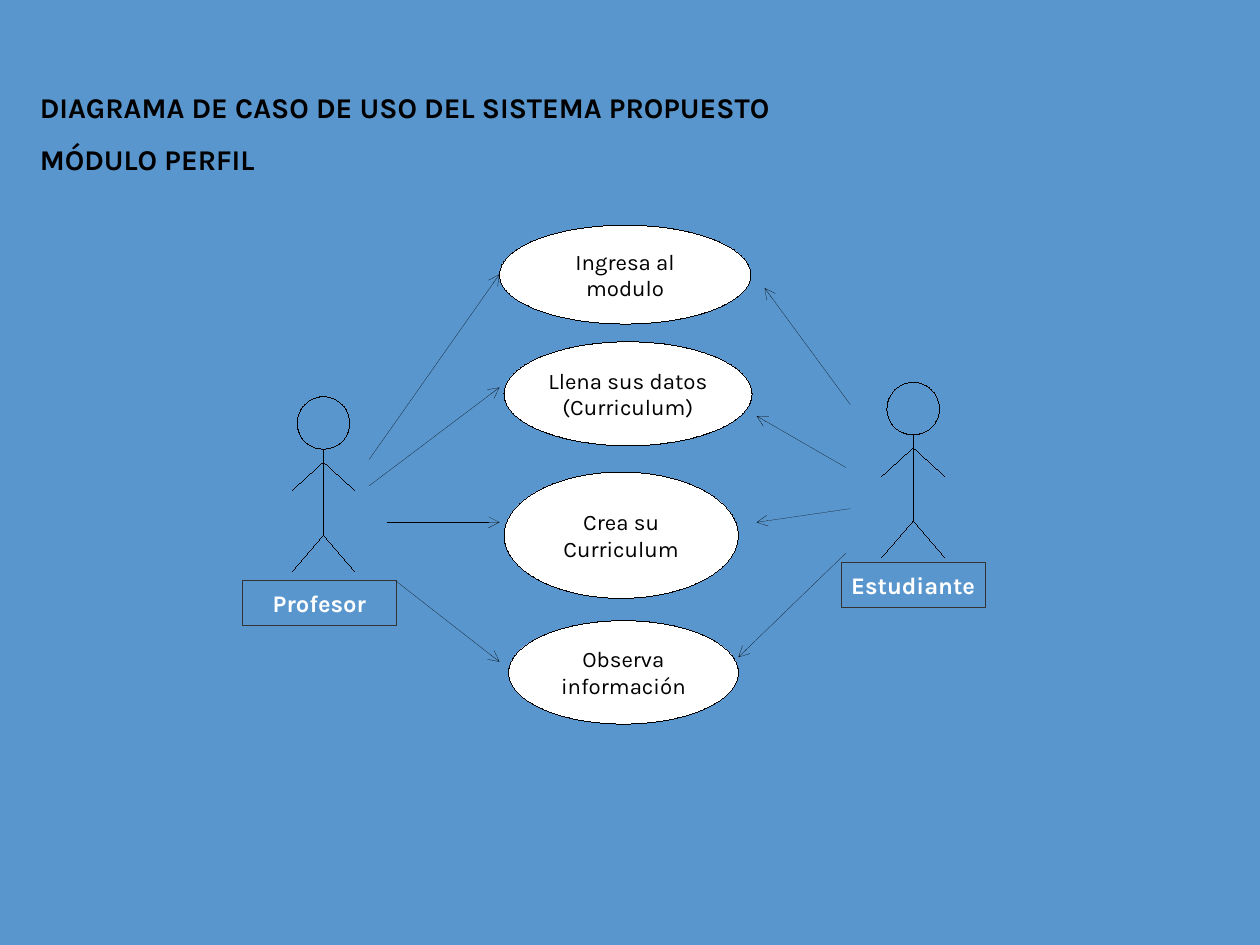
from dataclasses import dataclass

from lxml.etree import SubElement
from pptx import Presentation
from pptx.dml.color import RGBColor
from pptx.enum.shapes import MSO_CONNECTOR, MSO_SHAPE
from pptx.enum.text import MSO_ANCHOR, PP_ALIGN
from pptx.oxml.ns import qn
from pptx.util import Cm, Inches, Pt


@dataclass(frozen=True)
class Theme:
    font: str = "Karla"
    back: str = "5996CD"
    ink: str = "000000"
    paper: str = "FFFFFF"
    edge: str = "333333"
    title: int = 18
    label: int = 15
    body: int = 14
    hair: float = 0
    thin: float = 0.5


WIDE, HIGH = Cm(28), Cm(21)


def color(code):
    return RGBColor.from_string(code)


def unit(cells):
    """Length of a number of grid cells, each a tenth of an inch."""
    return Inches(cells / 10)


def plain(shape):
    """Drop the preset style, so that a zero width stays a hairline."""
    style = shape._element.find(qn("p:style"))
    shape._element.remove(style)


def write(frame, text, *, font, size, ink, bold=False, align=PP_ALIGN.CENTER,
          anchor=MSO_ANCHOR.MIDDLE, wrap=False, space=None):
    frame.word_wrap = wrap
    frame.vertical_anchor = anchor
    for i, line in enumerate(text.split("\n")):
        para = frame.paragraphs[0] if i == 0 else frame.add_paragraph()
        para.alignment = align
        para.line_spacing = space
        run = para.add_run()
        run.text = line
        run.font.name = font
        run.font.size = Pt(size)
        run.font.bold = bold
        run.font.color.rgb = color(ink)


class Board:
    """Draws on one slide; every length is in grid columns and rows."""

    def __init__(self, slide, theme):
        self.slide, self.theme = slide, theme

    def cover(self):
        """Fill the whole slide with the back colour."""
        rect = self.slide.shapes.add_shape(MSO_SHAPE.RECTANGLE, 0, 0, WIDE, HIGH)
        rect.shadow.inherit = False
        rect.fill.solid()
        rect.fill.fore_color.rgb = color(self.theme.back)
        rect.line.fill.background()

    def title(self, text, *box):
        frame = self.slide.shapes.add_textbox(*map(unit, box)).text_frame
        write(frame, text, font=self.theme.font, size=self.theme.title,
              ink=self.theme.ink, bold=True, align=PP_ALIGN.LEFT,
              anchor=MSO_ANCHOR.TOP, wrap=True, space=1.5)

    def shape(self, kind, box, edge, width, fill=None, host=None):
        host = host or self.slide
        shape = host.shapes.add_shape(kind, *map(unit, box))
        plain(shape)
        shape.shadow.inherit = False
        if fill:
            shape.fill.solid()
            shape.fill.fore_color.rgb = color(fill)
        else:
            shape.fill.background()
        shape.line.color.rgb = color(edge)
        shape.line.width = Pt(width)
        return shape

    def case(self, text, *box):
        look = self.theme
        oval = self.shape(MSO_SHAPE.OVAL, box, look.ink, look.hair, look.paper)
        write(oval.text_frame, text, font=look.font, size=look.body, ink=look.ink)

    def label(self, text, *box):
        look = self.theme
        rect = self.shape(MSO_SHAPE.RECTANGLE, box, look.edge, look.thin)
        write(rect.text_frame, text, font=look.font, size=look.label,
              ink=look.paper, bold=True)

    def line(self, *ends, host=None, arrow=False):
        host = host or self.slide
        link = host.shapes.add_connector(MSO_CONNECTOR.STRAIGHT, *map(unit, ends))
        plain(link)
        link.line.color.rgb = color(self.theme.ink)
        link.line.width = Pt(self.theme.hair)
        if arrow:
            SubElement(link.line._get_or_add_ln(), qn("a:tailEnd"), type="arrow")
        SubElement(link._element.spPr, qn("a:effectLst"))

    def actor(self, mid, top):
        """Stick figure with its head centred on column mid."""
        group = self.slide.shapes.add_group_shape()
        head, neck, hip = 4.6, top + 5.7, top + 12.1
        self.shape(MSO_SHAPE.OVAL, (mid - head / 2, top, head, head),
                   self.theme.ink, self.theme.hair, host=group)
        self.line(mid, top + head, mid, hip, host=group)
        for side in (-2.75, 2.75):
            self.line(mid, neck, mid + side, neck + 2.5, host=group)
            self.line(mid, hip, mid + side, hip + 3.2, host=group)


CASES = [
    ("Ingresa al\nmodulo", 43.7, 19.7, 22, 8.65),
    ("Llena sus datos\n(Curriculum)", 44.1, 29.9, 21.7, 9.1),
    ("Observa\ninformación", 44.5, 54.3, 20.1, 9.05),
    ("Crea su\nCurriculum", 44.1, 41.3, 20.5, 11.05),
]
ACTORS = [(28.3, 34.7), (79.9, 33.45)]
LABELS = [
    ("Profesor", 21.25, 50.8, 13.4, 3.9),
    ("Estudiante", 73.6, 49.2, 12.6, 3.9),
]
ARROWS = [
    (32.3, 40.2, 43.7, 24),
    (32.3, 42.5, 43.7, 33.9),
    (33.9, 45.7, 43.7, 45.7),
    (34.6, 50.8, 43.7, 57.9),
    (74.4, 35.4, 66.9, 25.2),
    (74, 40.9, 66.2, 36.4),
    (74.4, 44.5, 66.2, 45.7),
    (74, 48.4, 64.6, 57.5),
]


def main():
    deck = Presentation()
    deck.slide_width, deck.slide_height = WIDE, HIGH
    board = Board(deck.slides.add_slide(deck.slide_layouts[6]), Theme())
    board.cover()
    board.title("DIAGRAMA DE CASO DE USO DEL SISTEMA PROPUESTO\nMÓDULO PERFIL",
                2.5, 5.9, 88.8, 8)
    for case in CASES:
        board.case(*case)
    for actor in ACTORS:
        board.actor(*actor)
    for label in LABELS:
        board.label(*label)
    for ends in ARROWS:
        board.line(*ends, arrow=True)
    deck.save("out.pptx")


if __name__ == "__main__":
    main()
